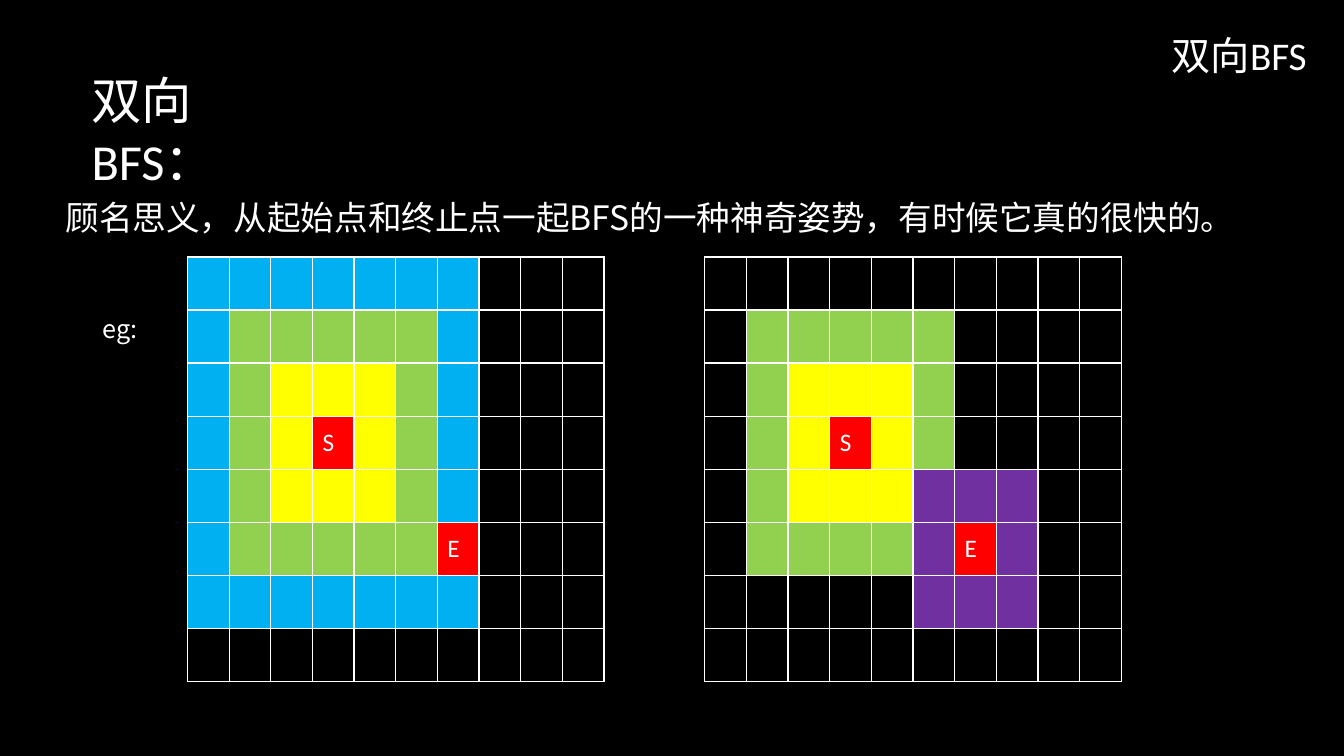
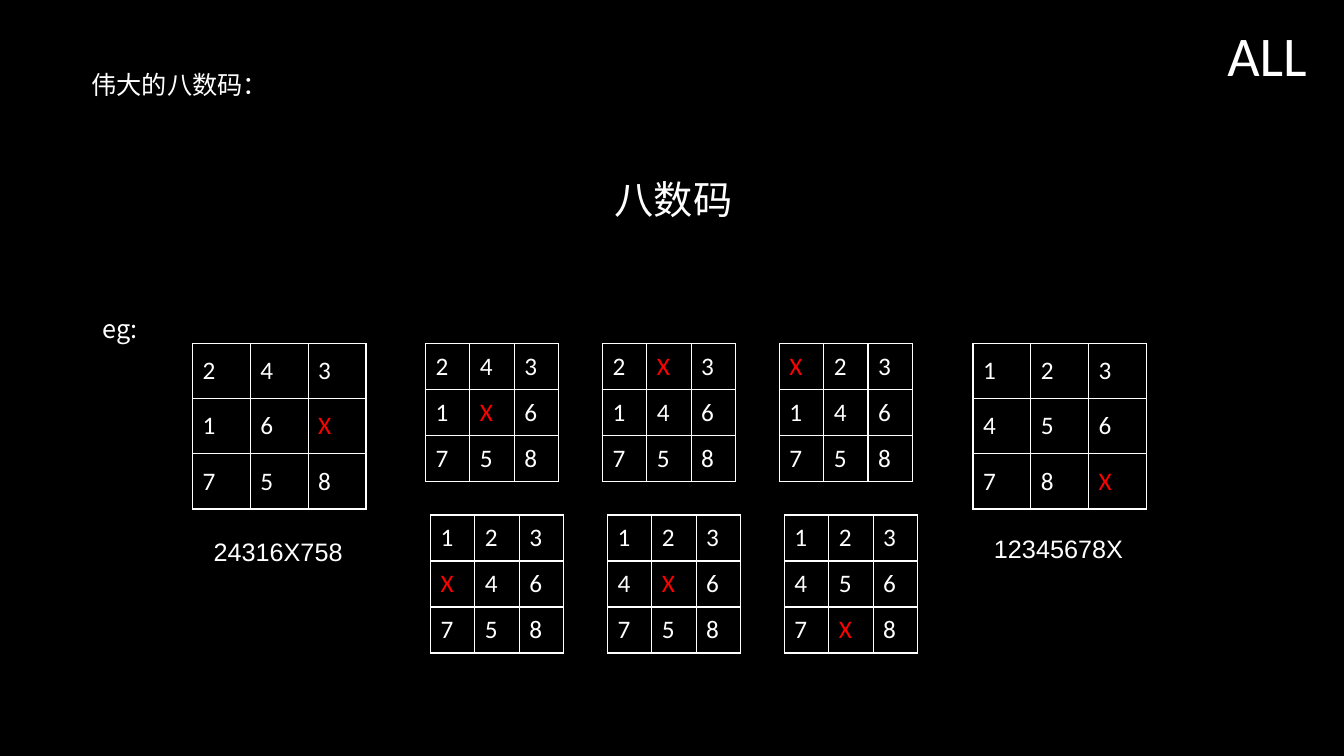
import pptx
import pptx.util
import pptx.dml.color
import pptx.enum.text
import pptx.oxml
import pptx.oxml.ns
import lxml.etree

Inches = pptx.util.Inches
Align = pptx.enum.text.PP_ALIGN
Anchor = pptx.enum.text.MSO_ANCHOR


class Theme:
    back, ink, mark = "000000", "FFFFFF", "FF0000"
    blue, green, gold, plum = "00B0F0", "92D050", "FFFF00", "7030A0"
    latin, han, plain = "Calibri", "Noto Sans CJK SC", "Arial"
    small, lead, mid, head, big = 18, 24, 28, 36, 40
    line = 1


# Content: title, body and heading of each slide
search = {
    "title": ("双向BFS", Theme.mid),
    "body": ("顾名思义，从起始点和终止点一起BFS的一种神奇姿势，有时候它真的很快的。",
             Theme.lead, Theme.han, Align.LEFT, 0.15),
    "head": ("双向BFS：", Theme.head, Theme.latin, (0.81, 0.64, 2.4, 0.71)),
}
puzzle = {
    "title": ("ALL", Theme.big),
    "body": ("八数码", Theme.mid, Theme.latin, Align.CENTER, 0.5),
    "head": ("伟大的八数码：", Theme.small, Theme.han, (0.81, 0.64, 2.22, 0.4)),
}
# Each source: row, column, letter, colours of the rings around it
rows, cols = 8, 10
one_way = [(3, 3, "S", [Theme.gold, Theme.green, Theme.blue]), (5, 6, "E", [])]
two_way = [(3, 3, "S", [Theme.gold, Theme.green]), (5, 6, "E", [Theme.plum])]
floods = [(1.86, one_way), (6.99, two_way)]

# Boards are read row by row; steps lie between start and goal
ends = [("24316X758", 1.91, (2.02, 5.27)), ("12345678X", 9.65, (9.76, 5.24))]
steps = [
    (4.22, 3.41, ["2431X6758", "2X3146758", "X23146758"]),
    (4.27, 5.11, ["123X46758", "1234X6758", "1234567X8"]),
]
pitch = 1.755


# Helpers
def color(code):
    return pptx.dml.color.RGBColor.from_string(code)


def write(para, text, size, font=Theme.latin, tint=Theme.ink):
    run = para.add_run()
    run.text = text
    run.font.size = pptx.util.Pt(size)
    run.font.name = font
    run.font.color.rgb = color(tint)
    east = lxml.etree.SubElement(run.font._element, pptx.oxml.ns.qn("a:ea"))
    east.set("typeface", Theme.han)


def place(shape, box):
    shape.left, shape.top, shape.width, shape.height = map(Inches, box)


def label(slide, text, size, font, box, wrap=False):
    frame = slide.shapes.add_textbox(*map(Inches, box)).text_frame
    frame.word_wrap = wrap
    write(frame.paragraphs[0], text, size, font)


def border(cell):
    props = cell._tc.get_or_add_tcPr()
    for side in "LRTB":
        props.append(pptx.oxml.parse_xml(
            f'<a:ln{side} {pptx.oxml.ns.nsdecls("a")} w="{Theme.line * 12700}">'
            f'<a:solidFill><a:srgbClr val="{Theme.ink}"/></a:solidFill>'
            f'</a:ln{side}>'))


def grid(slide, box, cells):
    """Draw rows of (text, text colour, fill) cells of equal size."""
    down, across = len(cells), len(cells[0])
    table = slide.shapes.add_table(down, across, *map(Inches, box)).table
    table.first_row = table.horz_banding = False
    for col in table.columns:
        col.width = Inches(box[2] / across)
    for row, line in zip(table.rows, cells):
        row.height = Inches(box[3] / down)
        for cell, (text, tint, fill) in zip(row.cells, line):
            border(cell)
            cell.fill.solid()
            cell.fill.fore_color.rgb = color(fill)
            cell.vertical_anchor = Anchor.MIDDLE
            if text:
                write(cell.text_frame.paragraphs[0], text, Theme.small, tint=tint)


def flood(sources):
    cells = [[("", Theme.ink, Theme.back)] * cols for _ in range(rows)]
    for top, left, name, rings in sources:
        fills = [Theme.mark] + rings
        for r in range(rows):
            for c in range(cols):
                far = max(abs(r - top), abs(c - left))
                if far < len(fills):
                    text = "" if far else name
                    cells[r][c] = (text, Theme.ink, fills[far])
    return cells


def board(state):
    cells = [(mark, Theme.mark if mark == "X" else Theme.ink, Theme.back)
             for mark in state]
    return [cells[i:i + 3] for i in range(0, 9, 3)]


def start(deck, data):
    slide = deck.slides.add_slide(deck.slide_layouts[1])
    title, body = slide.placeholders
    for shape, box in ((title, (0.92, 0.23, 12.14, 0.69)),
                       (body, (0.55, 1.46, 12.26, 1.54))):
        place(shape, box)
        shape.text_frame.auto_size = pptx.enum.text.MSO_AUTO_SIZE.NONE
        shape.text_frame.vertical_anchor = Anchor.MIDDLE
        shape.text_frame.paragraphs[0].line_spacing = 0.9
    para = title.text_frame.paragraphs[0]
    para.alignment = Align.RIGHT
    write(para, *data["title"])

    text, size, font, align, inset = data["body"]
    body.text_frame.margin_bottom = Inches(inset)
    para = body.text_frame.paragraphs[0]
    para.alignment = align
    para.space_before = pptx.util.Pt(10)
    props = para._p.get_or_add_pPr()
    props.set("marL", "0")
    props.set("indent", "0")
    lxml.etree.SubElement(props, pptx.oxml.ns.qn("a:buNone"))
    write(para, text, size, font)

    label(slide, *data["head"], wrap=True)
    label(slide, "eg:", Theme.small, Theme.han, (0.92, 3.06, 0.58, 0.71))
    return slide


# Deck
deck = pptx.Presentation()
deck.slide_width, deck.slide_height = Inches(13.33), Inches(7.5)
paint = deck.slide_master.background.fill
paint.solid()
paint.fore_color.rgb = color(Theme.back)

# Slide 1: search from one end and from both
slide = start(deck, search)
for left, sources in floods:
    grid(slide, (left, 2.55, 4.13, 4.21), flood(sources))

# Slide 2: eight-puzzle from start to goal
slide = start(deck, puzzle)
for state, left, (x, y) in ends:
    grid(slide, (left, 3.41, 1.72, 1.64), board(state))
    label(slide, state, Theme.small, Theme.plain, (x, y, 1.49, 0.4))
for left, top, states in steps:
    for i, state in enumerate(states):
        grid(slide, (left + i * pitch, top, 1.32, 1.37), board(state))

deck.save("out.pptx")
